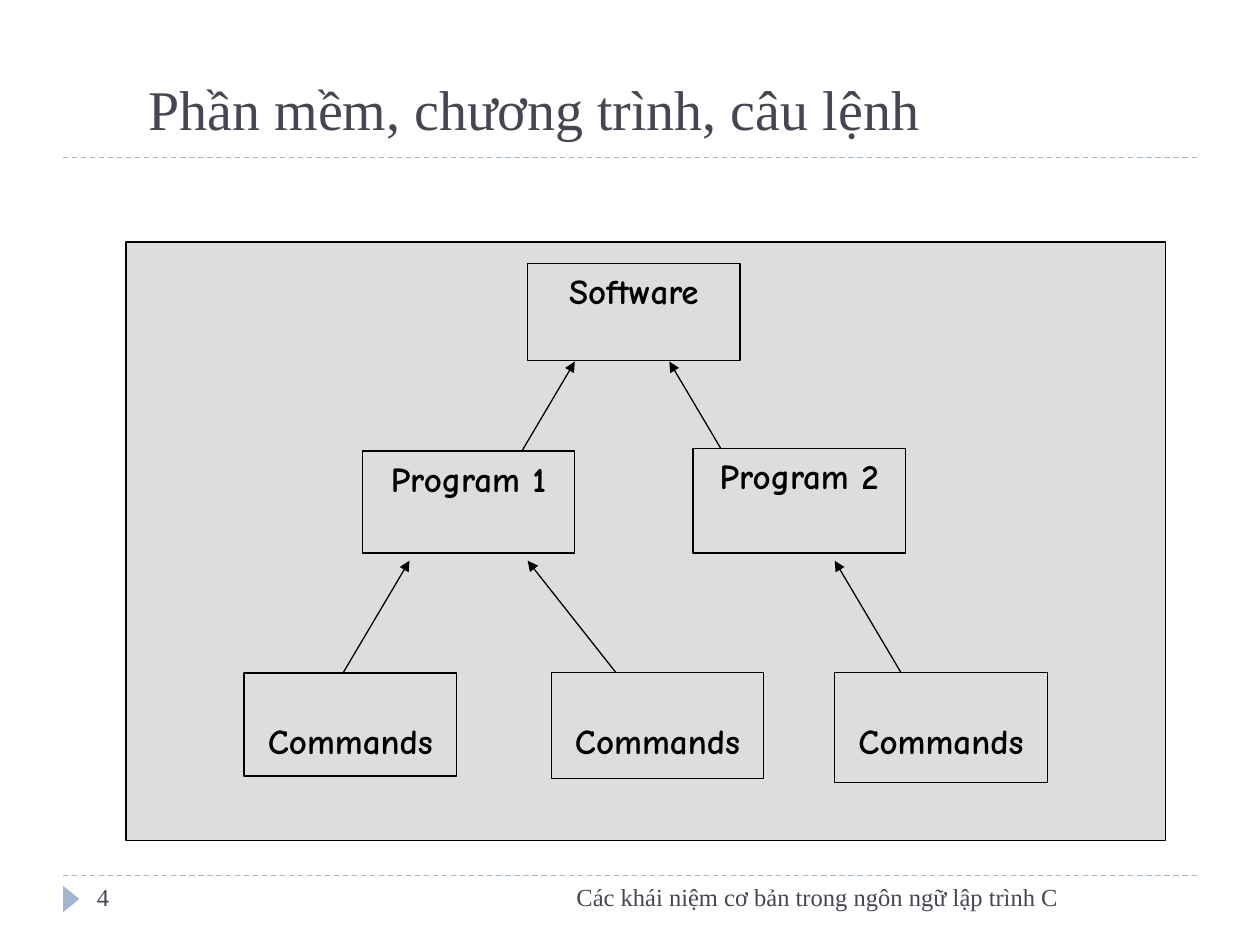
"""Build a slide showing how software is made of programs and commands."""
from dataclasses import dataclass

from lxml import etree
from pptx import Presentation
from pptx.dml.color import RGBColor
from pptx.enum.dml import MSO_LINE
from pptx.enum.shapes import MSO_CONNECTOR, MSO_SHAPE
from pptx.enum.text import MSO_ANCHOR, PP_ALIGN
from pptx.oxml.ns import qn
from pptx.util import Inches, Pt

STRAIGHT = MSO_CONNECTOR.STRAIGHT
RECTANGLE, TRIANGLE = MSO_SHAPE.RECTANGLE, MSO_SHAPE.ISOSCELES_TRIANGLE
LEFT, CENTER, RIGHT = PP_ALIGN.LEFT, PP_ALIGN.CENTER, PP_ALIGN.RIGHT
TOP, BOTTOM = MSO_ANCHOR.TOP, MSO_ANCHOR.BOTTOM
DASH = MSO_LINE.DASH


@dataclass(frozen=True)
class Theme:
    ink: RGBColor = RGBColor.from_string("464653")
    black: RGBColor = RGBColor.from_string("000000")
    panel: RGBColor = RGBColor.from_string("DDDDDD")
    accent: RGBColor = RGBColor.from_string("9FB8CD")
    serif: str = "Times New Roman"
    comic: str = "Comic Neue"
    title_size: int = 32
    label_size: int = 20
    footer_size: int = 14
    line_width: float = 0.75


THEME = Theme()
WIDTH, HEIGHT = 10, 7.5
MARGIN = 0.5
RULES = (1.25, 6.95)

TITLE = "Phần mềm, chương trình, câu lệnh"
FOOTER = "Các khái niệm cơ bản trong ngôn ngữ lập trình C"
PAGE_NUMBER = "4"

PANEL = (1, 1.92, 8.25, 4.75)
COLUMN = PANEL[2] / 44
BOX_COLUMNS = 9
LABEL_INSET, COMMAND_INSET = 0.05, 0.37

# label, column, top, height, top inset
BOXES = [
    ("Software", 17, 2.09, 0.77, LABEL_INSET),
    ("Program 2", 24, 3.56, 0.83, LABEL_INSET),
    ("Program 1", 10, 3.58, 0.81, LABEL_INSET),
    ("Commands", 5, 5.34, 0.82, COMMAND_INSET),
    ("Commands", 18, 5.34, 0.84, COMMAND_INSET),
    ("Commands", 30, 5.34, 0.87, COMMAND_INSET),
]
ARROW_LEVELS = [
    (5.4, 4.45, [(9, 12), (21, 17), (33, 30)]),
    (3.82, 2.87, [(16, 19), (26, 23)]),
]


def column_left(column):
    return PANEL[0] + column * COLUMN


def write_text(shape, text, *, font, size, color, bold=False, align=LEFT,
               anchor=TOP, top_inset=0.05):
    frame = shape.text_frame
    frame.word_wrap = True
    frame.vertical_anchor = anchor
    frame.margin_left = frame.margin_right = Inches(0.1)
    frame.margin_top, frame.margin_bottom = Inches(top_inset), Inches(0.05)
    para = frame.paragraphs[0]
    para.alignment = align
    span = para.add_run()
    span.text = text
    span.font.name, span.font.size, span.font.bold = font, Pt(size), bold
    span.font.color.rgb = color


def add_text(page, place, text, **style):
    box = page.shapes.add_textbox(*map(Inches, place))
    write_text(box, text, **style)


def add_block(page, place, fill, line=None, kind=RECTANGLE):
    block = page.shapes.add_shape(kind, *map(Inches, place))
    block.shadow.inherit = False
    block.fill.solid()
    block.fill.fore_color.rgb = fill
    if line is None:
        block.line.fill.background()
    else:
        block.line.color.rgb = line
        block.line.width = Pt(THEME.line_width)
    return block


def add_line(page, start, end, color, dash=None, arrow=False):
    line = page.shapes.add_connector(STRAIGHT, *map(Inches, (*start, *end)))
    line.line.color.rgb = color
    line.line.width = Pt(THEME.line_width)
    if dash is not None:
        line.line.dash_style = dash
    properties = line._element.spPr
    if arrow:
        etree.SubElement(properties.find(qn("a:ln")), qn("a:tailEnd"), type="triangle")
    etree.SubElement(properties, qn("a:effectLst"))


def add_frame(page):
    for height in RULES:
        add_line(page, (MARGIN, height), (WIDTH - MARGIN, height), THEME.accent, dash=DASH)
    marker = add_block(page, (0.46, 7.07, 0.21, 0.13), THEME.accent, kind=TRIANGLE)
    marker.rotation = 90
    add_text(page, (1.08, 0.25, 8.75, 0.92), TITLE, font=THEME.serif,
             size=THEME.title_size, color=THEME.ink, anchor=BOTTOM)
    footer_style = dict(font=THEME.serif, size=THEME.footer_size, color=THEME.ink)
    add_text(page, (3.17, RULES[1], 5.33, 0.4), FOOTER, align=RIGHT, **footer_style)
    add_text(page, (0.67, RULES[1], 2.17, 0.4), PAGE_NUMBER, **footer_style)


def add_diagram(page):
    add_block(page, PANEL, THEME.panel, THEME.black)
    for bottom, top, arrows in ARROW_LEVELS:
        for start, end in arrows:
            add_line(page, (column_left(start), bottom), (column_left(end), top),
                     THEME.black, arrow=True)
    for label, column, top, height, inset in BOXES:
        place = (column_left(column), top, BOX_COLUMNS * COLUMN, height)
        box = add_block(page, place, THEME.panel, THEME.black)
        write_text(box, label, font=THEME.comic, size=THEME.label_size,
                   color=THEME.black, bold=True, align=CENTER, top_inset=inset)


def main():
    deck = Presentation()
    deck.slide_width, deck.slide_height = Inches(WIDTH), Inches(HEIGHT)
    page = deck.slides.add_slide(deck.slide_layouts[6])
    add_frame(page)
    add_diagram(page)
    deck.save("out.pptx")


if __name__ == "__main__":
    main()
